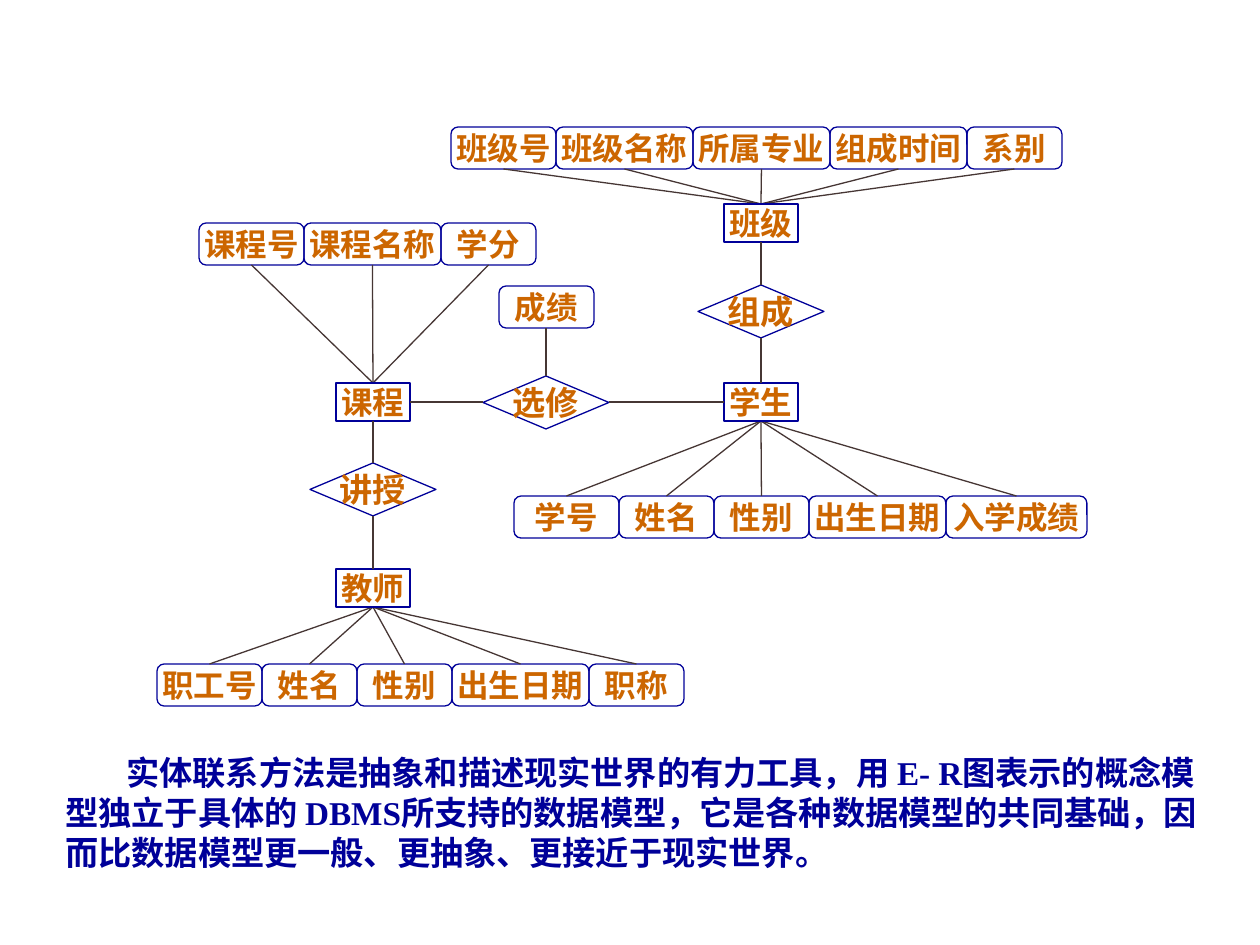
from lxml import etree
from pptx import Presentation
from pptx import util as u
from pptx.dml.color import RGBColor
from pptx.enum import shapes, text
from pptx.oxml.ns import qn

SCALE = 914400 // 126
BLUE, ORANGE, GREY = "000099", "CC6600", "463634"
FONT = "Times New Roman"
ATTRIBUTE_WIDTHS = {2: 95, 3: 105, 4: 137}
ATTRIBUTE_HEIGHT = 42
ENTITY_WIDTH, ENTITY_HEIGHT = 74, 38
RELATION_WIDTH, RELATION_HEIGHT = 126, 53
COURSE_X, ELECTIVE_X, STUDENT_X = 373, 546, 761


def px(value):
    return u.Emu(int(value * SCALE))


def color(value):
    return RGBColor.from_string(value)


def format_text(frame, size, ink):
    for para in frame.paragraphs:
        for span in para.runs:
            span.font.name = FONT
            span.font.size = u.Pt(size)
            span.font.bold = True
            span.font.color.rgb = color(ink)


def add_node(page, kind, label, left, top, width, height, size=18):
    shape = page.shapes.add_shape(kind, px(left), px(top), px(width), px(height))
    shape.shadow.inherit = False
    shape.fill.background()
    shape.line.color.rgb = color(BLUE)
    shape.line.width = u.Pt(0.75)
    frame = shape.text_frame
    frame.margin_left = frame.margin_right = 0
    frame.margin_top = frame.margin_bottom = 0
    frame.word_wrap = False
    frame.vertical_anchor = text.MSO_ANCHOR.MIDDLE
    frame.text = label
    frame.paragraphs[0].alignment = text.PP_ALIGN.CENTER
    format_text(frame, size, ORANGE)
    return shape


def add_attribute(page, label, left, top, width):
    add_node(page, shapes.MSO_SHAPE.ROUNDED_RECTANGLE, label,
             left, top, width, ATTRIBUTE_HEIGHT)


def add_entity(page, label, center, top):
    shape = add_node(page, shapes.MSO_SHAPE.ROUNDED_RECTANGLE, label,
                     center - ENTITY_WIDTH / 2, top, ENTITY_WIDTH, ENTITY_HEIGHT)
    shape.adjustments[0] = 0


def add_relation(page, label, center, top):
    add_node(page, shapes.MSO_SHAPE.DIAMOND, label, center - RELATION_WIDTH / 2,
             top, RELATION_WIDTH, RELATION_HEIGHT, 19)


def add_line(page, start, end):
    line = page.shapes.add_connector(shapes.MSO_CONNECTOR.STRAIGHT,
                                     *map(px, start + end))
    line.line.color.rgb = color(GREY)
    line.line.width = u.Pt(0.75)
    etree.SubElement(line._element.spPr, qn("a:effectLst"))


def add_attribute_row(page, labels, left, top, hub, widths=None):
    edge = top + ATTRIBUTE_HEIGHT if hub[1] > top else top
    widths = widths or [ATTRIBUTE_WIDTHS[len(label)] for label in labels]
    for label, width in zip(labels, widths):
        add_attribute(page, label, left, top, width)
        add_line(page, (left + width / 2, edge), hub)
        left += width


def add_summary(page, content):
    box = page.shapes.add_textbox(px(53), px(746), px(1166), px(132))
    frame = box.text_frame
    frame.word_wrap = True
    frame.text = content
    frame.paragraphs[0]._p.get_or_add_pPr().set("indent", str(px(61)))
    format_text(frame, 19, BLUE)


def main():
    deck = Presentation()
    deck.slide_width, deck.slide_height = px(1260), px(945)
    page = deck.slides.add_slide(deck.slide_layouts[6])

    add_attribute_row(page, ["班级号", "班级名称", "所属专业", "组成时间", "系别"],
                      451, 127, (STUDENT_X, 204))
    add_attribute_row(page, ["课程号", "课程名称", "学分"],
                      199, 223, (COURSE_X, 383))
    add_attribute_row(page, ["学号", "姓名", "性别", "出生日期", "入学成绩"],
                      514, 496, (STUDENT_X, 421), [105, 95, 95, 137, 141])
    add_attribute_row(page, ["职工号", "姓名", "性别", "出生日期", "职称"],
                      157, 664, (COURSE_X, 607))
    add_attribute(page, "成绩", 499, 286, 95)

    for label, center, top in [("班级", STUDENT_X, 204), ("学生", STUDENT_X, 383),
                               ("课程", COURSE_X, 383), ("教师", COURSE_X, 569)]:
        add_entity(page, label, center, top)
    for label, center, top in [("组成", STUDENT_X, 285), ("选修", ELECTIVE_X, 376),
                               ("讲授", COURSE_X, 463)]:
        add_relation(page, label, center, top)

    for center, top, bottom in [(STUDENT_X, 242, 285), (STUDENT_X, 338, 383),
                                (ELECTIVE_X, 328, 376), (COURSE_X, 421, 463),
                                (COURSE_X, 516, 569)]:
        add_line(page, (center, top), (center, bottom))
    for left, right in [(410, 483), (609, 724)]:
        add_line(page, (left, 402), (right, 402))

    add_summary(page, "实体联系方法是抽象和描述现实世界的有力工具，用 E- R图表示的概念"
                      "模型独立于具体的 DBMS所支持的数据模型，它是各种数据模型的共同基础，"
                      "因而比数据模型更一般、更抽象、更接近于现实世界。")
    deck.save("out.pptx")


if __name__ == "__main__":
    main()
